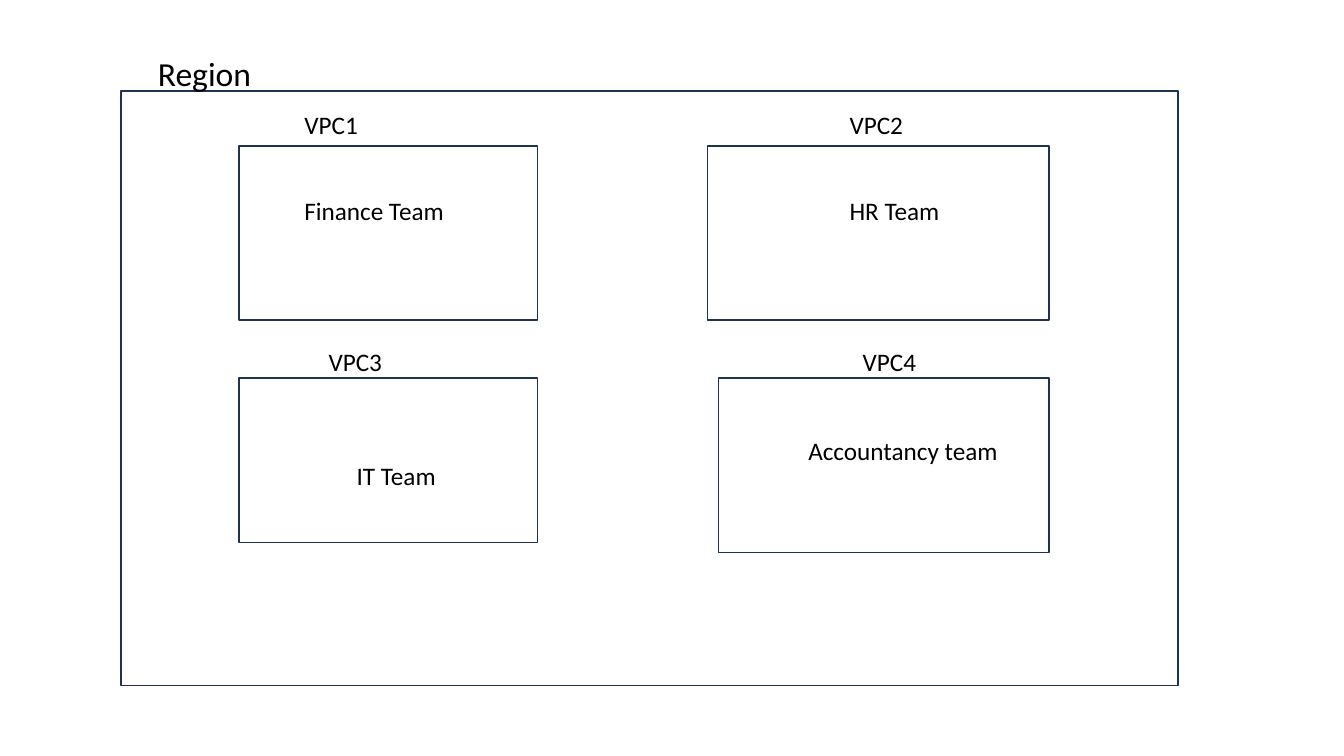
from pptx import Presentation
from pptx.dml.color import RGBColor
from pptx.enum.shapes import MSO_SHAPE as Shape
from pptx.enum.text import MSO_AUTO_SIZE as AutoSize
from pptx.util import Cm, Pt

COLORS = {"outline": "1E3256", "text": "000000"}
LABEL_HEIGHT = 1.02


class RegionDiagram:
    """Holds the text style and the current slide."""

    def __init__(self, slide, font="Calibri", size=18):
        self.slide = slide
        self.font = font
        self.size = size

    def box(self, left, top, width, height):
        shape = self.slide.shapes.add_shape(
            Shape.RECTANGLE, Cm(left), Cm(top), Cm(width), Cm(height))
        shape.shadow.inherit = False
        shape.fill.background()
        shape.line.color.rgb = RGBColor.from_string(COLORS["outline"])
        shape.line.width = Pt(1)

    def label(self, text, left, top, width, height=LABEL_HEIGHT, wrap=False, size=None):
        shape = self.slide.shapes.add_textbox(Cm(left), Cm(top), Cm(width), Cm(height))
        frame = shape.text_frame
        frame.word_wrap = wrap
        frame.auto_size = AutoSize.SHAPE_TO_FIT_TEXT
        run = frame.paragraphs[0].add_run()
        run.text = text
        for name, value in {"name": self.font, "size": Pt(size or self.size)}.items():
            setattr(run.font, name, value)
        run.font.color.rgb = RGBColor.from_string(COLORS["text"])


def main():
    presentation = Presentation()
    presentation.slide_width = Cm(33.87)
    presentation.slide_height = Cm(19.05)
    slide = presentation.slides.add_slide(presentation.slide_layouts[6])
    diagram = RegionDiagram(slide)

    # Region frame, then the four VPC boxes
    diagram.box(3.05, 2.29, 26.64, 14.99)
    top_row, bottom_row = 3.68, 9.53
    for left, top, width, height in [
        (6.02, top_row, 7.52, 4.39),
        (17.83, top_row, 8.61, 4.39),
        (6.02, bottom_row, 7.52, 4.14),
        (18.11, bottom_row, 8.33, 4.39),
    ]:
        diagram.box(left, top, width, height)

    # VPC names above the boxes
    diagram.label("VPC1", 7.42, 2.64, 4.01, wrap=True)
    diagram.label("VPC2", 21.16, 2.64, 2.16, wrap=True)
    diagram.label("VPC3", 8.03, 8.59, 1.88, height=1.8)
    diagram.label("VPC4", 21.49, 8.59, 1.88)

    # Region title
    diagram.label("Region", 3.73, 1.22, 5.23, height=1.27, wrap=True, size=24)

    # Teams inside the boxes
    diagram.label("Finance Team", 7.42, 4.8, 4.57, wrap=True)
    diagram.label("HR Team", 21.16, 4.8, 2.79)
    diagram.label("IT Team", 8.74, 11.48, 2.51)
    diagram.label("Accountancy team", 20.12, 10.85, 5.36)

    presentation.save("out.pptx")


if __name__ == "__main__":
    main()
